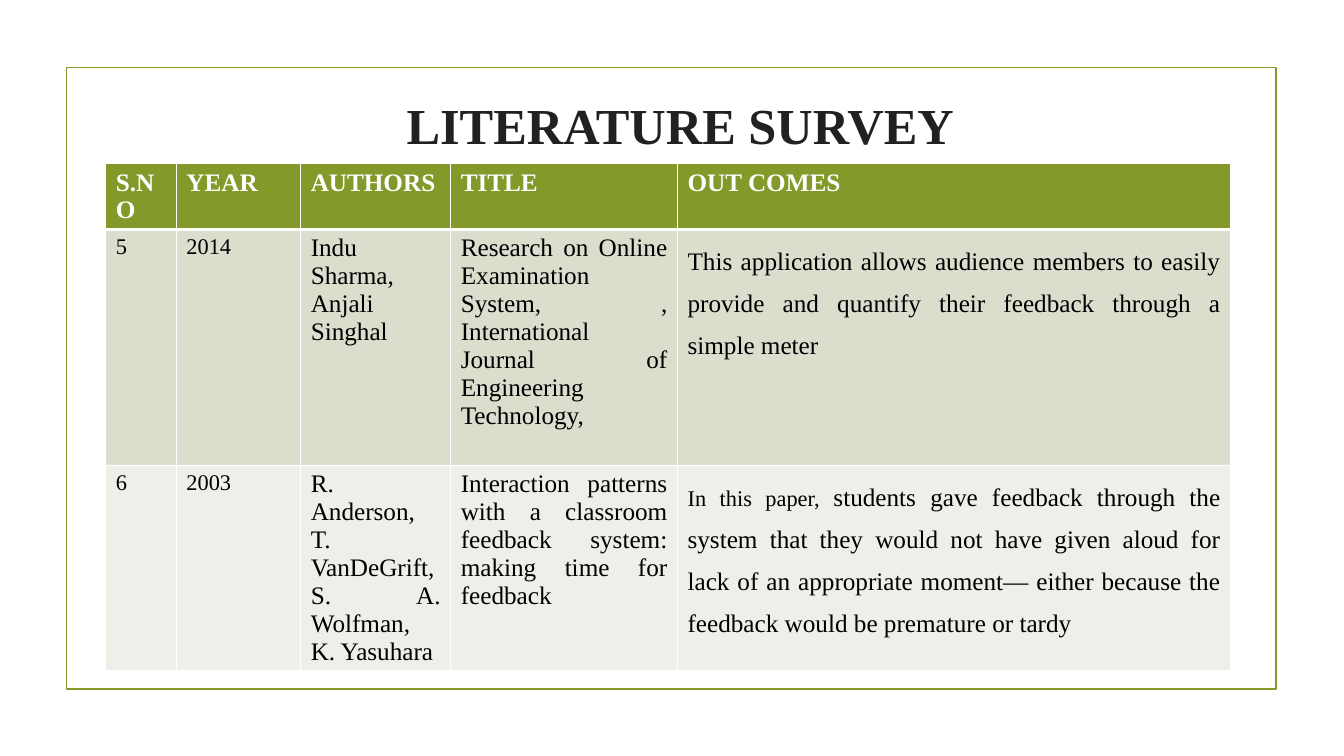
from lxml import etree
from pptx import Presentation
from pptx.dml.color import RGBColor
from pptx.enum import shapes, text
from pptx.oxml import ns
from pptx.util import Pt

GREEN = RGBColor(0x83, 0x99, 0x2A)
SAGE = RGBColor(0xD9, 0xDE, 0xCD)
PALE = RGBColor(0xED, 0xEF, 0xE8)
WHITE = RGBColor(0xFF, 0xFF, 0xFF)
BLACK = RGBColor(0, 0, 0)
DARK = RGBColor(0x21, 0x21, 0x21)
FONT = "Times New Roman"

WIDTHS = [50.4, 88.8, 107.2, 162, 395.2]
HEIGHTS = [46, 168.5, 147]
FILLS = [GREEN, SAGE, PALE]
HEAD = ["S.NO", "YEAR", "AUTHORS", "TITLE", "OUT COMES"]
# Each cell holds a list of (text, size) runs
PAPERS = [
    [[("5", 16)], [("2014", 16)],
     [("Indu Sharma, Anjali Singhal", 18)],
     [("Research on Online Examination System, , International Journal "
       "of Engineering Technology,", 18)],
     [("This application allows audience members to easily provide and "
       "quantify their feedback through a simple meter", 18)]],
    [[("6", 16)], [("2003", 16)],
     [("R. Anderson, T. VanDeGrift, S. A. Wolfman, K. Yasuhara", 18)],
     [("Interaction patterns with a classroom feedback system: making "
       "time for feedback", 18)],
     [("In this paper, ", 16),
      ("students gave feedback through the system that they would not "
       "have given aloud for lack of an appropriate moment— either because "
       "the feedback would be premature or tardy", 18)]],
]


def style(run, size, color, bold):
    font = run.font
    font.name, font.size, font.bold = FONT, Pt(size), bold
    font.color.rgb = color


def border(cell, widths):
    """Draw white cell edges; widths run left, right, top, bottom."""
    props = cell._tc.get_or_add_tcPr()
    for side, width in zip("LRTB", widths):
        line = etree.SubElement(props, ns.qn(f"a:ln{side}"), w=str(Pt(width)))
        fill = etree.SubElement(line, ns.qn("a:solidFill"))
        etree.SubElement(fill, ns.qn("a:srgbClr"), val=str(WHITE))


def add_frame(slide, x, y, w, h):
    frame = slide.shapes.add_shape(
        shapes.MSO_SHAPE.RECTANGLE, Pt(x), Pt(y), Pt(w), Pt(h))
    frame.shadow.inherit = False
    frame.fill.background()
    frame.line.color.rgb = GREEN
    frame.line.width = Pt(1.25)


def add_title(slide, x, y, w, h):
    box = slide.shapes.add_textbox(Pt(x), Pt(y), Pt(w), Pt(h))
    box.text_frame.word_wrap = True
    box.text_frame.text = "LITERATURE SURVEY"
    para = box.text_frame.paragraphs[0]
    para.alignment = text.PP_ALIGN.CENTER
    para.line_spacing = 1.7
    props = para._p.get_or_add_pPr()
    props.set("marL", str(Pt(72)))
    props.set("indent", "0")
    style(para.runs[0], 36, DARK, True)


def add_survey(slide, x, y):
    grid = slide.shapes.add_table(
        len(HEIGHTS), len(WIDTHS), Pt(x), Pt(y),
        Pt(sum(WIDTHS)), Pt(sum(HEIGHTS))).table
    for col, width in zip(grid.columns, WIDTHS):
        col.width = Pt(width)
    for row, height in zip(grid.rows, HEIGHTS):
        row.height = Pt(height)

    # Header first, then one row per paper
    rows = [[[(name, 18)] for name in HEAD]] + PAPERS
    for r, row in enumerate(rows):
        for c, parts in enumerate(row):
            cell = grid.cell(r, c)
            border(cell, (1, 1, 3 if r == 1 else 1, 3 if r == 0 else 1))
            cell.fill.solid()
            cell.fill.fore_color.rgb = FILLS[r]
            para = cell.text_frame.paragraphs[0]
            if r > 0:
                para.alignment = text.PP_ALIGN.JUSTIFY
                if c == len(WIDTHS) - 1:
                    para.line_spacing = 1.5
            for words, size in parts:
                run = para.add_run()
                run.text = words
                style(run, size, BLACK if r else WHITE, r == 0)


def main():
    deck = Presentation()
    deck.slide_width, deck.slide_height = Pt(960), Pt(540)
    slide = deck.slides.add_slide(deck.slide_layouts[6])
    add_frame(slide, 47.5, 48.2, 864, 444)
    add_survey(slide, 75.6, 116.8)
    add_title(slide, 111.6, 33.8, 676.8, 73.4)
    deck.save("out.pptx")


if __name__ == "__main__":
    main()
